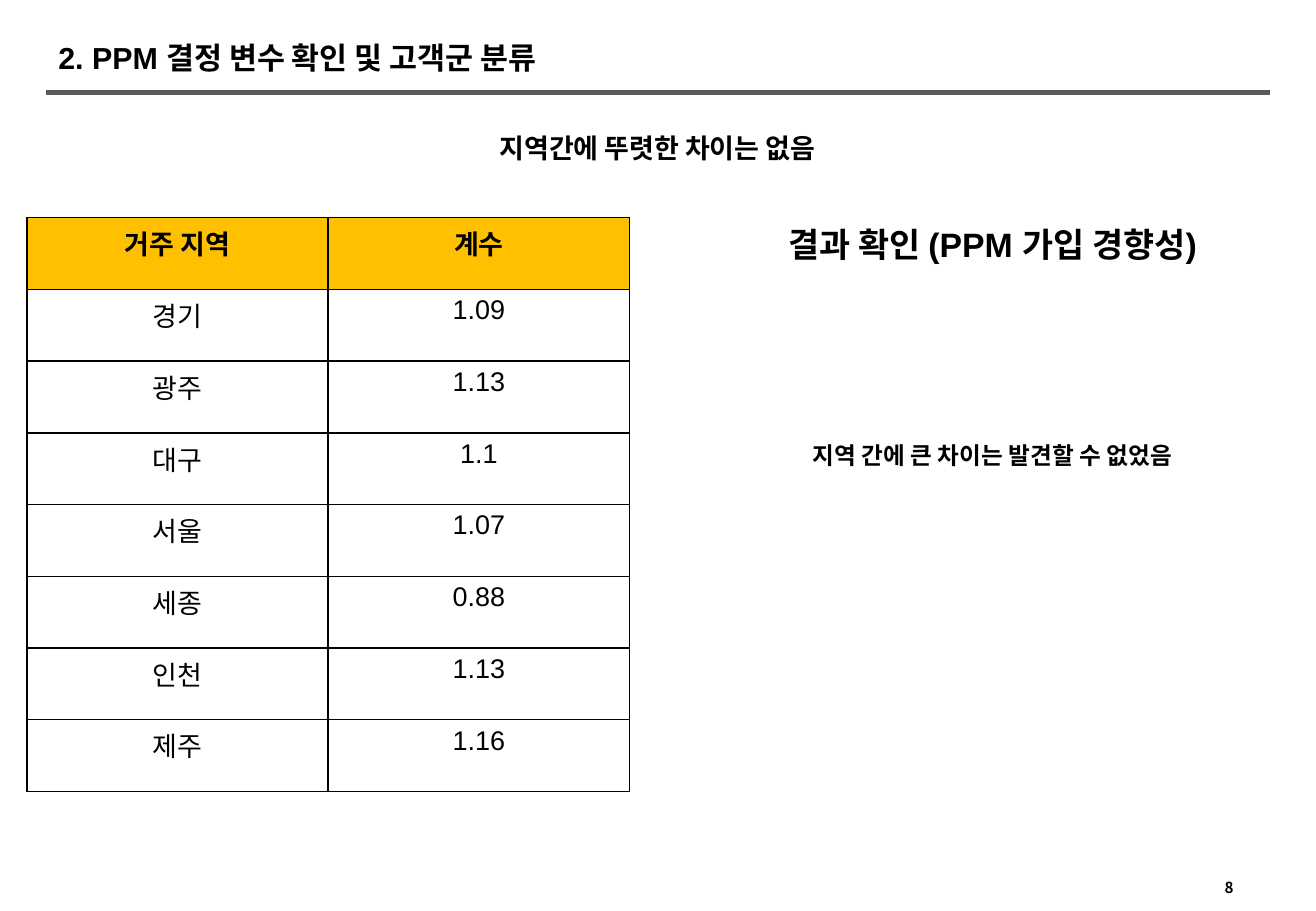
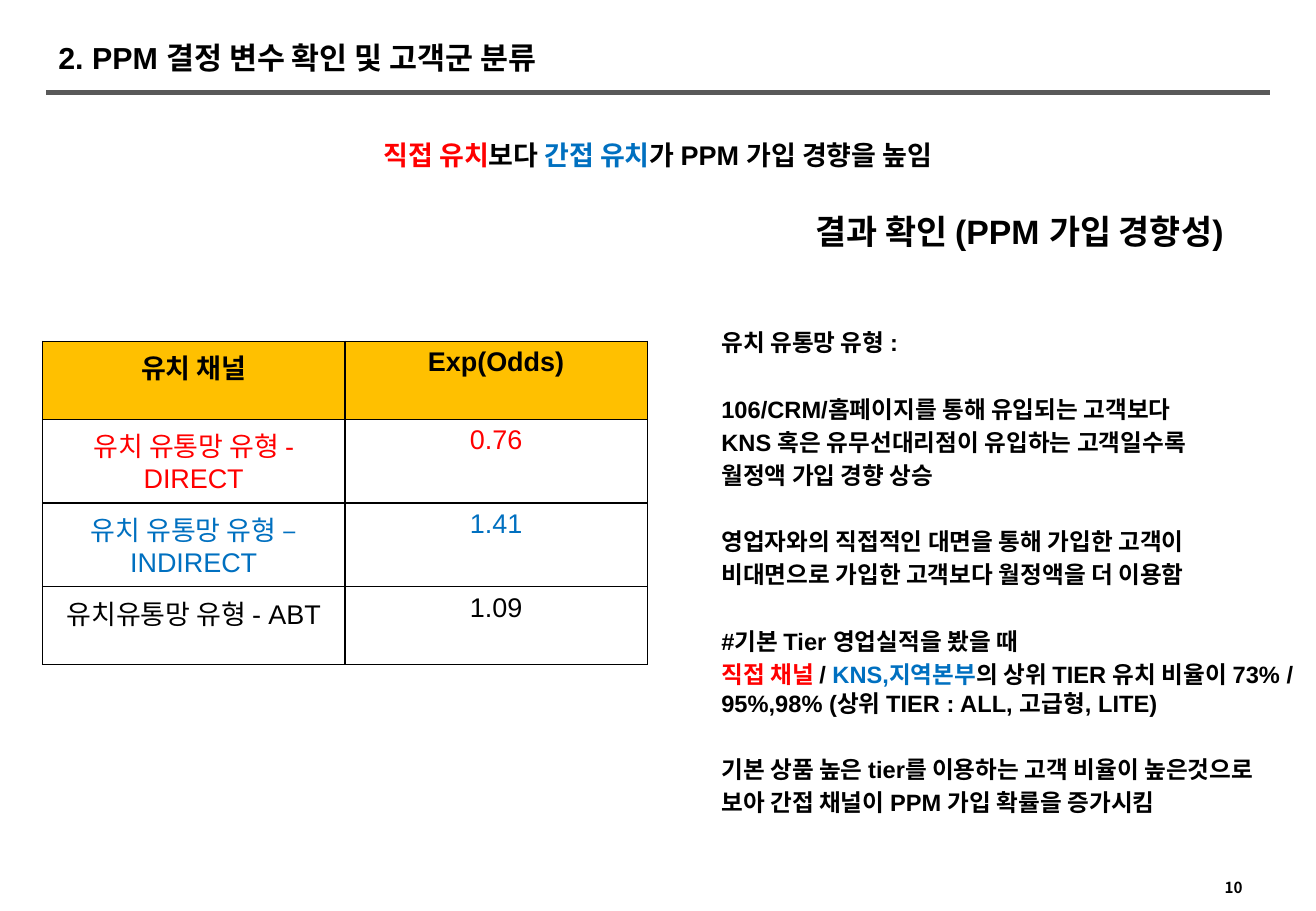
from lxml.etree import SubElement
from pptx import Presentation
from pptx.dml.color import RGBColor
from pptx.enum.shapes import MSO_CONNECTOR
from pptx.enum.text import MSO_ANCHOR, PP_ALIGN
from pptx.oxml.ns import qn
from pptx.util import Cm, Pt

BLACK, RED, BLUE = "000000", "FF0000", "0070C0"
WHITE, GOLD, GREY = "FFFFFF", "FFC000", "595959"
LEFT, MID = PP_ALIGN.LEFT, PP_ALIGN.CENTER


def tint(code):
    """Turn a hex string into a colour."""
    return RGBColor.from_string(code)


class Deck:
    """Hold the style and the current slide."""

    font = "Arial"
    digit = "Noto Sans CJK KR"
    title = "2. PPM 결정 변수 확인 및 고객군 분류"
    result = "결과 확인 (PPM 가입 경향성)"

    def __init__(self):
        """Open an empty deck of the right size."""
        self.deck = Presentation()
        self.deck.slide_width, self.deck.slide_height = Cm(27.51), Cm(19.05)

    def page(self, number):
        """Start a slide with its number, rule and title."""
        self.slide = self.deck.slides.add_slide(self.deck.slide_layouts[6])
        self.text((25.35, 18.24, 1.19, 0.64), [[number]], 9, LEFT, self.digit)
        self.rule(0.97, 26.54, 1.93)
        self.text((0.97, 0.69, 17.78, 0.97), [[self.title]], 18, LEFT)

    def rule(self, start, end, top):
        """Draw the level line below the title."""
        line = self.slide.shapes.add_connector(
            MSO_CONNECTOR.STRAIGHT, Cm(start), Cm(top), Cm(end), Cm(top))
        line.line.color.rgb = tint(GREY)
        line.line.width = Pt(3)
        SubElement(line._element.spPr, qn("a:effectLst"))

    def runs(self, para, parts, size, align, font=None, bold=True, color=BLACK):
        """Fill a paragraph with runs, each a string or a (string, colour) pair."""
        para.alignment = align
        for part in parts:
            words, hue = (part, color) if isinstance(part, str) else part
            run = para.add_run()
            run.text = words
            run.font.name = font or self.font
            run.font.size = Pt(size)
            run.font.bold = bold
            run.font.color.rgb = tint(hue)

    def text(self, box, lines, size, align=MID, font=None):
        """Add a text box of one block and return its frame."""
        frame = self.slide.shapes.add_textbox(*map(Cm, box)).text_frame
        frame.word_wrap = True
        self.block(frame, lines, size, align, font)
        return frame

    def block(self, frame, lines, size, align, font=None, gap=None):
        """Append lines to a frame, with a gap above the first one."""
        for index, parts in enumerate(lines):
            first = frame.paragraphs[0]
            para = frame.add_paragraph() if first.runs else first
            para.space_before = Pt(gap if gap and index == 0 else size * 0.2)
            self.runs(para, parts, size, align, font)

    def head(self, left, top):
        """Add the heading of the results."""
        self.text((left, top, 12.4, 1.12), [[self.result]], 20)

    def edge(self, cell):
        """Give a cell thin black borders."""
        props = cell._tc.get_or_add_tcPr()
        for index, side in enumerate(("lnL", "lnR", "lnT", "lnB")):
            line = props.makeelement(qn("a:" + side), {"w": str(Pt(1))})
            fill = SubElement(line, qn("a:solidFill"))
            SubElement(fill, qn("a:srgbClr"), val=BLACK)
            props.insert(index, line)

    def table(self, left, top, width, highs, rows, hues=None):
        """Add a table with a gold header and optional row colours."""
        grid = self.slide.shapes.add_table(
            len(rows), len(rows[0]), Cm(left), Cm(top),
            Cm(width * len(rows[0])), Cm(sum(highs))).table
        for col in grid.columns:
            col.width = Cm(width)
        for r, row in enumerate(rows):
            grid.rows[r].height = Cm(highs[r])
            for c, words in enumerate(row):
                cell = grid.cell(r, c)
                cell.vertical_anchor = MSO_ANCHOR.TOP
                cell.fill.solid()
                cell.fill.fore_color.rgb = tint(WHITE if r else GOLD)
                self.edge(cell)
                self.runs(cell.text_frame.paragraphs[0], [words], 16, MID,
                          bold=r == 0, color=hues[r] if hues else BLACK)


def region(deck):
    """Build the slide on regions."""
    deck.page("8")
    deck.head(14.55, 4.55)
    rows = [("거주 지역", "계수"), ("경기", "1.09"), ("광주", "1.13"),
            ("대구", "1.1"), ("서울", "1.07"), ("세종", "0.88"),
            ("인천", "1.13"), ("제주", "1.16")]
    deck.table(0.56, 4.55, 6.3, [1.5] * len(rows), rows)
    deck.text((4.45, 2.62, 18.59, 0.94), [["지역간에 뚜렷한 차이는 없음"]], 16)
    deck.text((15.85, 9.09, 9.8, 0.86),
              [["지역 간에 큰 차이는 발견할 수 없었음"]], 14)


def channel(deck):
    """Build the slide on sales channels."""
    deck.page("10")
    deck.head(15.11, 4.29)
    rows = [("유치 채널", "Exp(Odds)"),
            ("유치 유통망 유형 - DIRECT", "0.76"),
            ("유치 유통망 유형 – INDIRECT", "1.41"),
            ("유치유통망 유형 - ABT", "1.09")]
    deck.table(0.89, 7.14, 6.32, [1.63, 1.75, 1.75, 1.63], rows,
               [BLACK, RED, BLUE, BLACK])
    blocks = [
        [["106/CRM/홈페이지를 통해 유입되는 고객보다"],
         ["KNS 혹은 유무선대리점이 유입하는 고객일수록"],
         ["월정액 가입 경향 상승"]],
        [["영업자와의 직접적인 대면을 통해 가입한 고객이"],
         ["비대면으로 가입한 고객보다 월정액을 더 이용함"]],
        [["#기본 Tier 영업실적을 봤을 때"],
         [("직접 채널 ", RED), "/ ", ("KNS,지역본부", BLUE),
          "의 상위 TIER 유치 비율이 73% / 95%,98% (상위 TIER : ALL, 고급형, LITE)"]],
        [["기본 상품 높은 tier를 이용하는 고객 비율이 높은것으로"],
         ["보아 간접 채널이 PPM 가입 확률을 증가시킴"]],
    ]
    frame = deck.text((14.83, 6.73, 12.67, 11.58),
                      [["유치 유통망 유형 :"]], 14, LEFT)
    for lines in blocks:
        deck.block(frame, lines, 14, LEFT, gap=22.7)
    deck.text((6.91, 2.77, 13.69, 0.94),
              [[("직접 유치", RED), "보다 ", ("간접 유치", BLUE),
                "가 PPM 가입 경향을 높임"]], 16)


def main():
    """Build and save the deck."""
    deck = Deck()
    region(deck)
    channel(deck)
    deck.deck.save("out.pptx")


if __name__ == "__main__":
    main()
